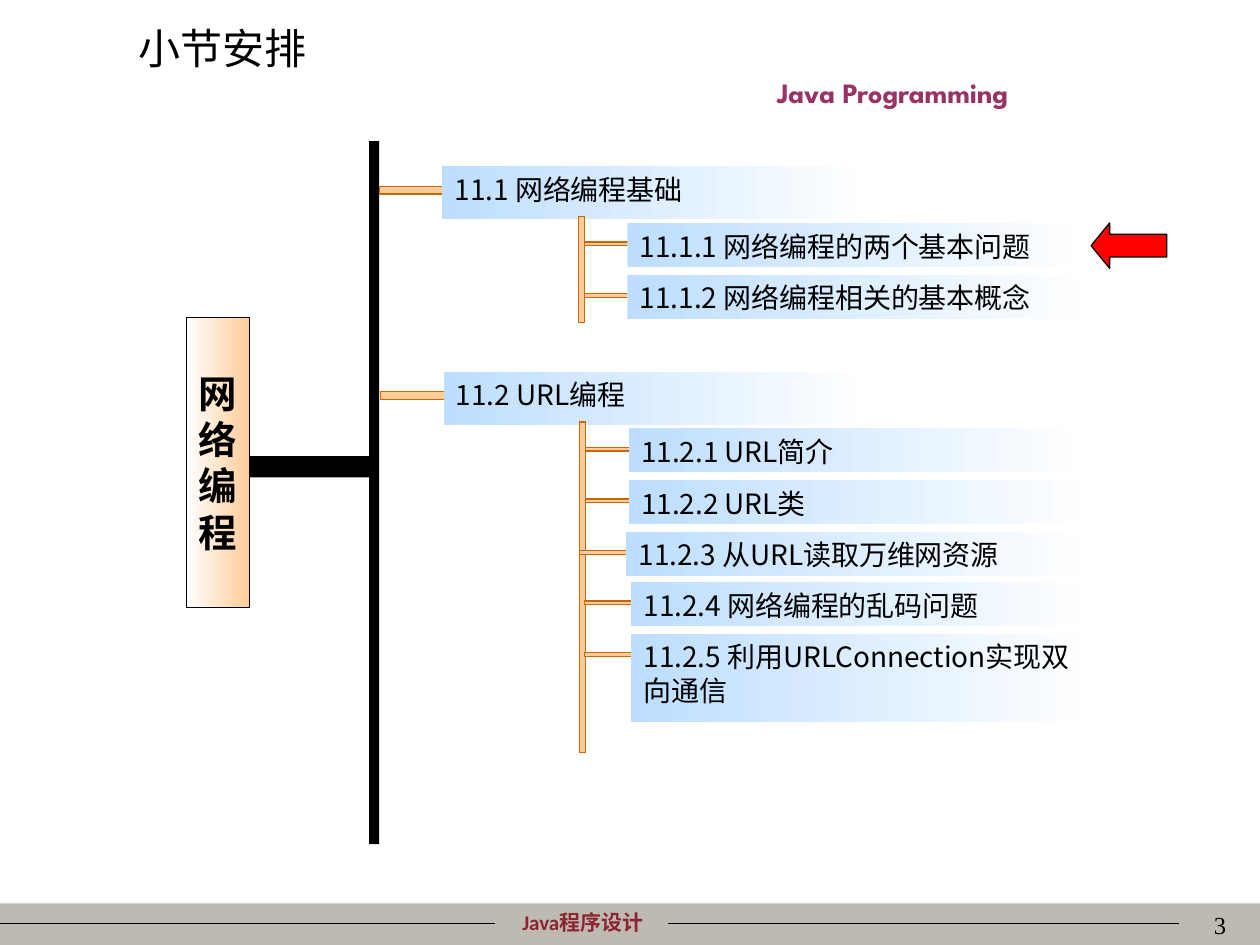
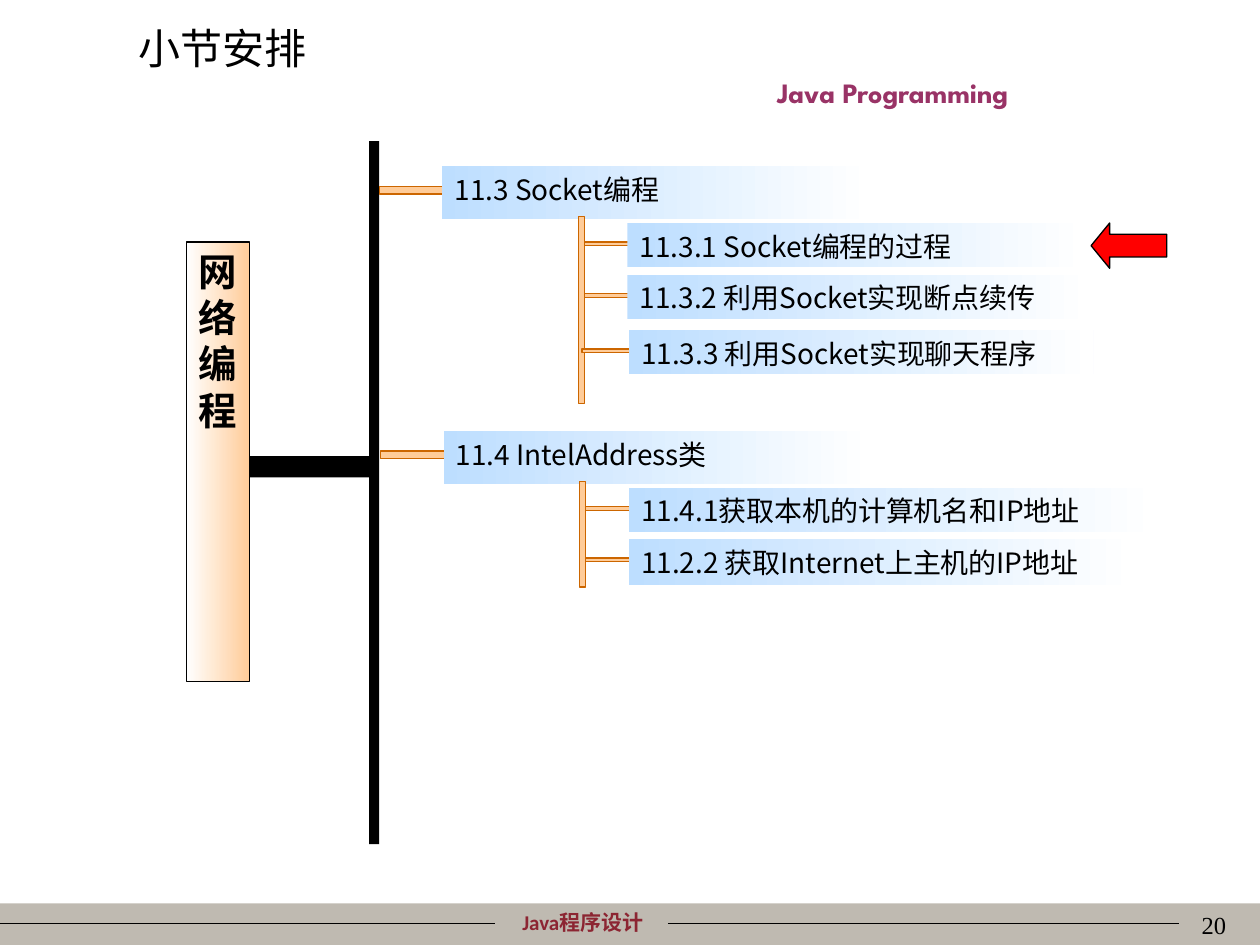
from dataclasses import dataclass

import pptx
import pptx.dml.color
import pptx.enum.shapes
import pptx.enum.text
import pptx.oxml
import pptx.oxml.ns
import pptx.util
from pptx.util import Inches

ALIGN = pptx.enum.text.PP_ALIGN
ANCHOR = pptx.enum.text.MSO_ANCHOR
SHAPE = pptx.enum.shapes.MSO_SHAPE


@dataclass(frozen=True)
class Theme:
    black: str = "000000"
    band: str = "BFBAB1"
    course: str = "8C2532"
    subtitle: str = "993366"
    branch: str = "FFCC99"
    branch_edge: str = "CC6600"
    marker: str = "FF0000"
    topic_fade: tuple = ("BDDEFF", "FFFFFF")
    root_fade: tuple = ("FFFFFF", "FFCC99")
    cjk: str = "Noto Sans CJK SC"
    course_font: str = "Calibri"
    subtitle_font: str = "League Spartan"
    number_font: str = "Times New Roman"
    title_size: int = 24
    root_size: int = 22
    body_size: int = 16
    number_size: int = 14
    course_size: int = 12
    line_width: float = 0.75


@dataclass(frozen=True)
class Topic:
    text: str
    width: float = 3.69
    height: float = 0.35
    shift: float = 0
    drop: float = 0


@dataclass(frozen=True)
class Section:
    heading: str
    top: float
    stem_height: float
    topics: tuple
    shift: float = 0


@dataclass(frozen=True)
class Outline:
    number: int
    root_top: float
    root_height: float
    root_anchor: object
    sections: tuple


OUTLINES = (
    Outline(3, 2.52, 2.3, ANCHOR.MIDDLE, (
        Section("11.1 网络编程基础", 1.32, 0.84, (
            Topic("11.1.1 网络编程的两个基本问题", width=3.65),
            Topic("11.1.2 网络编程相关的基本概念"),
        )),
        Section("11.2 URL编程", 2.95, 2.62, (
            Topic("11.2.1 URL简介", width=3.65),
            Topic("11.2.2 URL类"),
            Topic("11.2.3 从URL读取万维网资源", shift=-0.02),
            Topic("11.2.4 网络编程的乱码问题", shift=0.02, drop=-0.01),
            Topic("11.2.5 利用URLConnection实现双向通信", height=0.7, shift=0.02, drop=-0.01),
        ), shift=0.01),
    )),
    Outline(20, 1.92, 3.49, ANCHOR.TOP, (
        Section("11.3 Socket编程", 1.32, 1.48, (
            Topic("11.3.1 Socket编程的过程", width=3.65),
            Topic("11.3.2 利用Socket实现断点续传"),
            Topic("11.3.3 利用Socket实现聊天程序", shift=0.01, drop=0.03),
        )),
        Section("11.4 IntelAddress类", 3.42, 0.84, (
            Topic("11.4.1获取本机的计算机名和IP地址", width=4.21),
            Topic("11.2.2 获取Internet上主机的IP地址", width=4.03, height=0.36),
        ), shift=0.01),
    )),
)


def rgb(value):
    return pptx.dml.color.RGBColor.from_string(value)


class Deck:
    """Holds the theme and the slide being drawn."""

    def __init__(self, theme):
        self.theme = theme
        self.presentation = pptx.Presentation()
        self.presentation.slide_width = Inches(10)
        self.presentation.slide_height = Inches(7.5)
        self.slide = None

    def set_text(self, holder, text, size, color=None, font=None, bold=False,
                 align=ALIGN.LEFT, anchor=ANCHOR.TOP):
        frame = holder.text_frame
        frame.word_wrap = True
        frame.vertical_anchor = anchor
        paragraph = frame.paragraphs[0]
        paragraph.text = text
        paragraph.alignment = align
        paragraph.font.name = font or self.theme.cjk
        paragraph.font.size = pptx.util.Pt(size)
        paragraph.font.bold = bold
        paragraph.font.color.rgb = rgb(color or self.theme.black)
        east_asian = pptx.oxml.parse_xml(
            f'<a:ea {pptx.oxml.ns.nsdecls("a")} typeface="{self.theme.cjk}"/>')
        paragraph._p.pPr.defRPr.append(east_asian)

    def label(self, left, top, width, height, text, size, **style):
        box = self.slide.shapes.add_textbox(
            Inches(left), Inches(top), Inches(width), Inches(height))
        self.set_text(box, text, size, **style)

    def block(self, left, top, width, height, fill, edge=None, kind=SHAPE.RECTANGLE):
        """Add a preset shape; a pair of fill colours makes a left-to-right fade."""
        shape = self.slide.shapes.add_shape(
            kind, Inches(left), Inches(top), Inches(width), Inches(height))
        shape.shadow.inherit = False
        if isinstance(fill, tuple):
            shape.fill.gradient()
            shape.fill.gradient_angle = 0
            for stop, color in zip(shape.fill.gradient_stops, fill):
                stop.color.rgb = rgb(color)
        else:
            shape.fill.solid()
            shape.fill.fore_color.rgb = rgb(fill)
        if edge:
            shape.line.color.rgb = rgb(edge)
            shape.line.width = pptx.util.Pt(self.theme.line_width)
        else:
            shape.line.fill.background()
        return shape

    def branch(self, left, top, width, height):
        self.block(left, top, width, height, self.theme.branch, self.theme.branch_edge)

    def rule(self, start, end, y):
        line = self.slide.shapes.add_connector(
            pptx.enum.shapes.MSO_CONNECTOR.STRAIGHT,
            Inches(start), Inches(y), Inches(end), Inches(y))
        line.line.color.rgb = rgb(self.theme.black)
        line.line.width = pptx.util.Pt(self.theme.line_width)
        line._element.spPr.append(pptx.oxml.parse_xml(
            f'<a:effectLst {pptx.oxml.ns.nsdecls("a")}/>'))

    def start_slide(self, title, number):
        """Add a slide with the shared footer, course name and title."""
        theme = self.theme
        self.slide = self.presentation.slides.add_slide(self.presentation.slide_layouts[6])
        self.block(0, 7.17, 10, 0.33, theme.band)
        self.label(3.62, 7.17, 2.01, 0.3, "Java程序设计", theme.course_size,
                   color=theme.course, font=theme.course_font, bold=True, align=ALIGN.CENTER)
        self.rule(0, 3.93, 7.33)
        self.rule(5.3, 9.36, 7.33)
        self.label(5.08, 0.55, 4.01, 0.37, "Java Programming", theme.body_size,
                   color=theme.subtitle, font=theme.subtitle_font, bold=True,
                   align=ALIGN.CENTER)
        self.label(7.75, 7.17, 2.08, 0.5, str(number), theme.number_size,
                   font=theme.number_font, align=ALIGN.RIGHT)
        self.label(1, 0.13, 2.85, 0.5, title, theme.title_size)

    def root(self, top, height, anchor):
        root = self.block(1.48, top, 0.5, height, self.theme.root_fade, self.theme.black)
        self.set_text(root, "网络编程", self.theme.root_size, bold=True,
                      align=ALIGN.CENTER, anchor=anchor)
        self.block(1.98, 3.62, 1, 0.17, self.theme.black)
        self.block(2.93, 1.12, 0.08, 5.58, self.theme.black)

    def topic(self, topic, left, top):
        self.branch(left - 0.37, top + 0.15, 0.51, 0.03)
        bar = self.block(left, top, topic.width, topic.height, self.theme.topic_fade)
        self.set_text(bar, topic.text, self.theme.body_size)

    def section(self, section):
        """Draw a heading and its topics; the stem covers the first two branches."""
        top, shift = section.top, section.shift
        self.branch(3.01 + shift, top + 0.16, 0.51, 0.06)
        heading = self.block(3.51 + shift, top, 3.41, 0.42, self.theme.topic_fade)
        self.set_text(heading, section.heading, self.theme.body_size, align=ALIGN.JUSTIFY)
        for index, topic in enumerate(section.topics):
            self.topic(topic, 4.98 + shift + topic.shift,
                       top + 0.45 + 0.41 * index + topic.drop)
            if index == 1:
                self.branch(4.59 + shift, top + 0.4, 0.05, section.stem_height)

    def current_marker(self):
        arrow = self.block(8.66, 1.77, 0.6, 0.36, self.theme.marker, self.theme.black,
                           SHAPE.LEFT_ARROW)
        arrow.adjustments[0] = 0.5
        arrow.adjustments[1] = 0.41


def main():
    deck = Deck(Theme())
    for outline in OUTLINES:
        deck.start_slide("小节安排", outline.number)
        deck.root(outline.root_top, outline.root_height, outline.root_anchor)
        for section in outline.sections:
            deck.section(section)
        deck.current_marker()
    deck.presentation.save("out.pptx")


if __name__ == "__main__":
    main()
